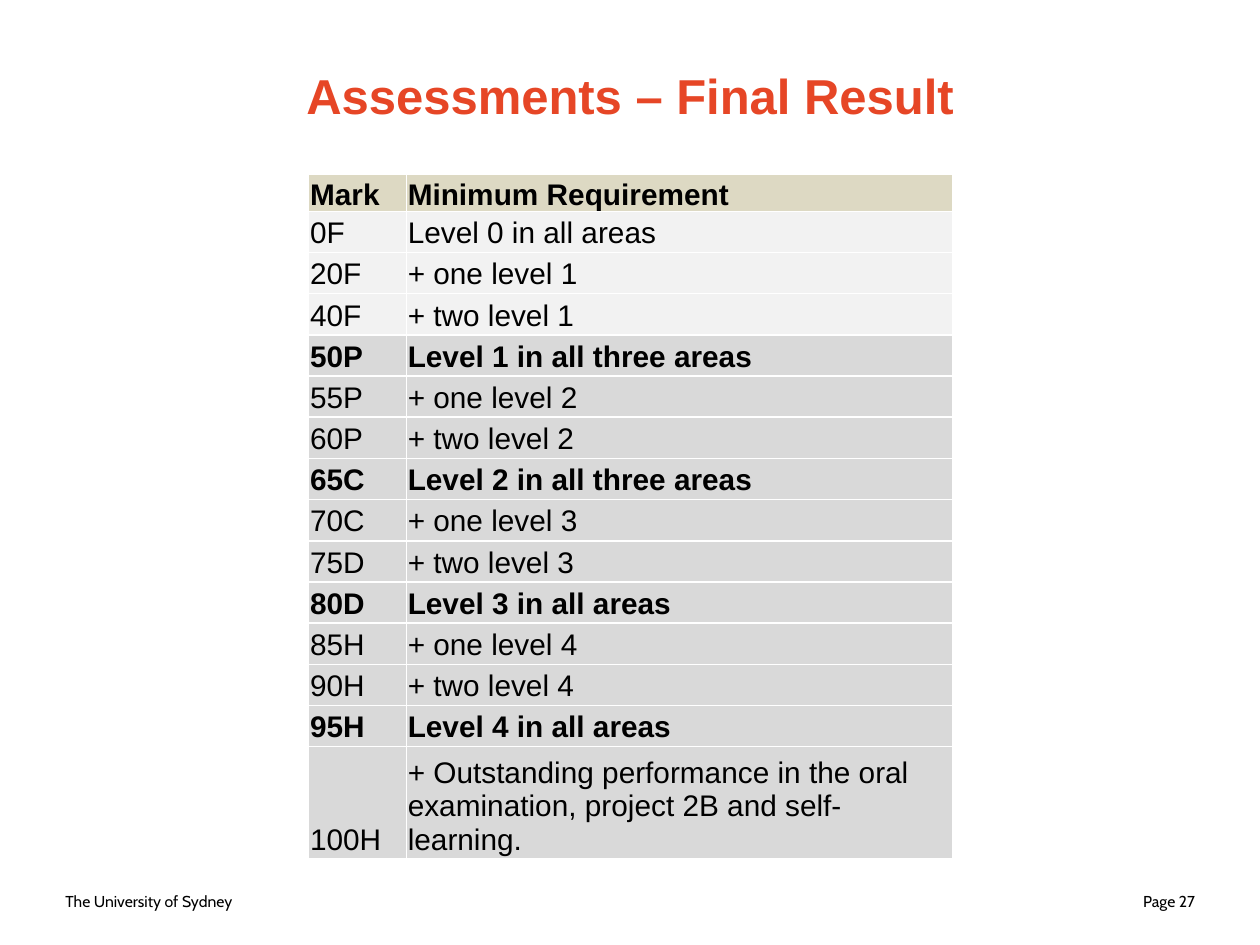
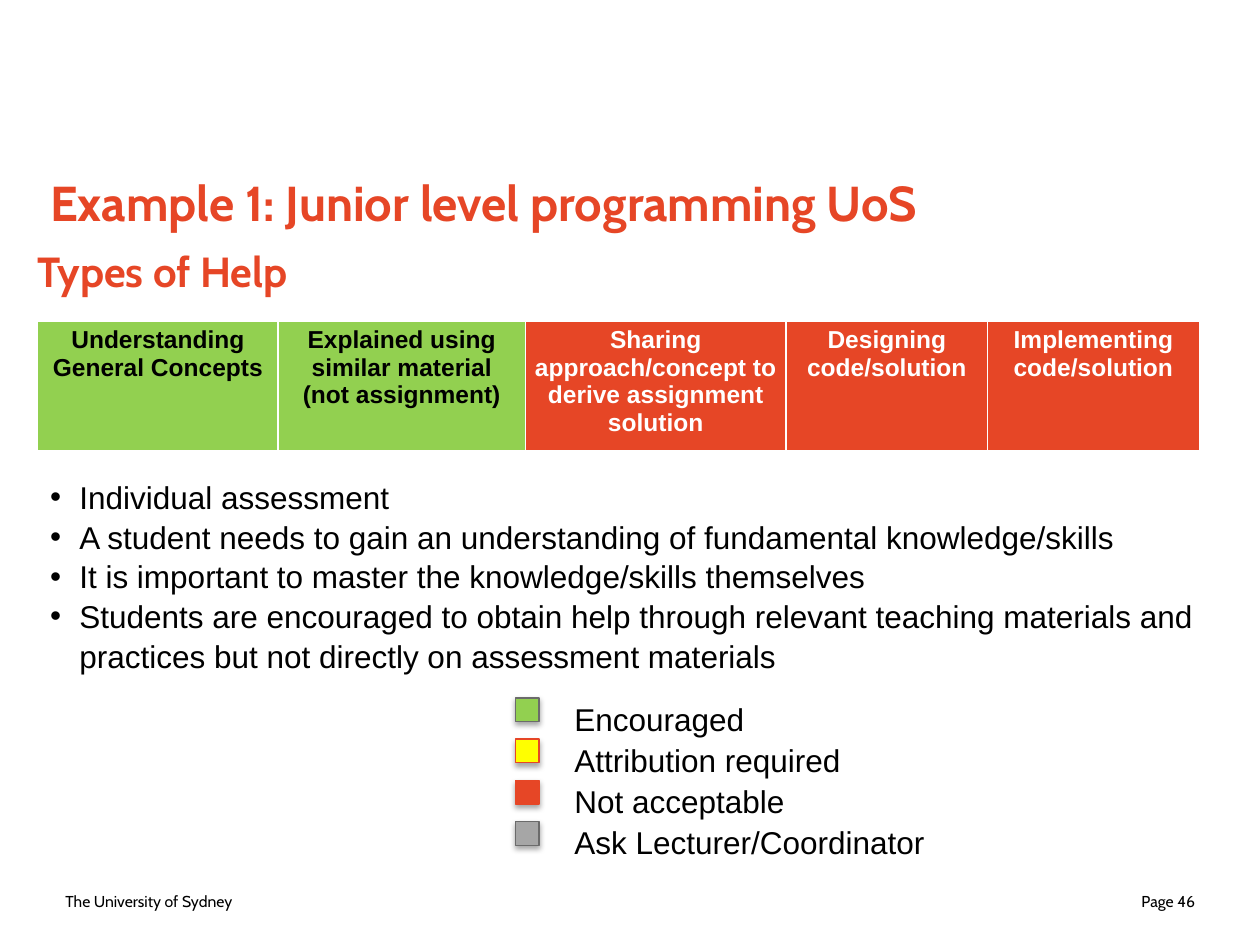
"""Build two slides on assessment marks and on the types of help allowed."""
from lxml import etree
from pptx import Presentation
from pptx.dml.color import RGBColor
from pptx.enum.shapes import MSO_SHAPE
from pptx.enum.text import MSO_ANCHOR, PP_ALIGN
from pptx.oxml import parse_xml
from pptx.oxml.ns import nsdecls, qn
from pptx.util import Cm, Pt

LEFT, CENTER, RIGHT = PP_ALIGN.LEFT, PP_ALIGN.CENTER, PP_ALIGN.RIGHT
TOP, MIDDLE, BOTTOM = MSO_ANCHOR.TOP, MSO_ANCHOR.MIDDLE, MSO_ANCHOR.BOTTOM
RECTANGLE = MSO_SHAPE.RECTANGLE

COLORS = {
    "black": "000000", "white": "FFFFFF", "accent": "E64626", "header": "DDD9C3",
    "fail": "F2F2F2", "pass": "D9D9D9", "green": "92D050", "yellow": "FFFF00",
    "gray": "A6A6A6", "outline": "6B6B6B",
}
BODY, BRAND = "Arial", "Cabin"
PADDING = (0.25, 0.13, 0.25, 0.13)
FOOTER = "The University of Sydney"

MARKS_TITLE = "Assessments – Final Result"
MARKS = [
    ("Mark", "Minimum Requirement"),
    ("0F", "Level 0 in all areas"),
    ("20F", "+ one level 1"),
    ("40F", "+ two level 1"),
    ("50P", "Level 1 in all three areas"),
    ("55P", "+ one level 2"),
    ("60P", "+ two level 2"),
    ("65C", "Level 2 in all three areas"),
    ("70C", "+ one level 3"),
    ("75D", "+ two level 3"),
    ("80D", "Level 3 in all areas"),
    ("85H", "+ one level 4"),
    ("90H", "+ two level 4"),
    ("95H", "Level 4 in all areas"),
    ("100H", "+ Outstanding performance in the oral examination, "
             "project 2B and self-learning."),
]
BOLD_MARKS = {"Mark", "50P", "65C", "80D", "95H"}

HELP_TITLE = "Example 1: Junior level programming UoS"
HELP_SUBTITLE = "Types of Help"
HELP_TYPES = [
    ("Understanding General Concepts", 4.85, "green", "black"),
    ("Explained using similar material (not assignment)", 4.98, "green", "black"),
    ("Sharing approach/concept to derive assignment solution", 5.26, "accent", "white"),
    ("Designing code/solution", 4.06, "accent", "white"),
    ("Implementing code/solution", 4.27, "accent", "white"),
]
HELP_POINTS = [
    "Individual assessment",
    "A student needs to gain an understanding of fundamental knowledge/skills",
    "It is important to master the knowledge/skills themselves",
    "Students are encouraged to obtain help through relevant teaching materials "
    "and practices but not directly on assessment materials",
]
LEGEND = [
    ("Encouraged", "green", "outline"),
    ("Attribution required", "yellow", "accent"),
    ("Not acceptable", "accent", "accent"),
    ("Ask Lecturer/Coordinator", "gray", "outline"),
]


def rgb(name):
    return RGBColor.from_string(COLORS[name])


def style(paragraph, size, font=BODY, color="black", bold=False, align=LEFT):
    paragraph.alignment = align
    paragraph.font.name = font
    paragraph.font.size = Pt(size)
    paragraph.font.bold = bold
    paragraph.font.color.rgb = rgb(color)


def set_margins(target, margins):
    (target.margin_left, target.margin_top,
     target.margin_right, target.margin_bottom) = map(Cm, margins)


def add_bullet(paragraph):
    properties = paragraph._p.get_or_add_pPr()
    properties.set("marL", str(Cm(0.59)))
    properties.set("indent", str(-Cm(0.59)))
    etree.SubElement(properties, qn("a:buFont"), typeface=BODY)
    etree.SubElement(properties, qn("a:buChar"), char="•")


def add_text(page, bounds, lines, size, anchor=TOP, margins=PADDING,
             bullets=False, spacing=None, **look):
    frame = page.shapes.add_textbox(*map(Cm, bounds)).text_frame
    frame.word_wrap = True
    frame.vertical_anchor = anchor
    set_margins(frame, margins)
    frame.text = "\n".join(lines)
    for paragraph in frame.paragraphs:
        if spacing:
            paragraph.line_spacing = spacing
        if bullets:
            add_bullet(paragraph)
        style(paragraph, size, **look)


def add_title(page, bounds, text, **look):
    add_text(page, bounds, [text], 28, MIDDLE, color="accent", bold=True, **look)


def add_page(deck, number):
    page = deck.slides.add_slide(deck.slide_layouts[6])
    for left, text, align in ((1.07, FOOTER, LEFT), (18.42, f"Page {number}", RIGHT)):
        add_text(page, (left, 17.65, 5.92, 1.02), [text], 9, MIDDLE,
                 font=BRAND, align=align)
    return page


def add_grid(page, left, top, widths, heights):
    bounds = (left, top, sum(widths), sum(heights))
    table = page.shapes.add_table(len(heights), len(widths), *map(Cm, bounds)).table
    table.first_row = table.horz_banding = False
    for column, width in zip(table.columns, widths):
        column.width = Cm(width)
    for row, height in zip(table.rows, heights):
        row.height = Cm(height)
    return table


def fill_cell(cell, text, fill, size, margins, anchor=TOP, bottom_line=1, **look):
    cell.text = text
    cell.vertical_anchor = anchor
    set_margins(cell, margins)
    style(cell.text_frame.paragraphs[0], size, **look)
    properties = cell._tc.get_or_add_tcPr()
    for side, width in (("lnL", 1), ("lnR", 1), ("lnT", 1), ("lnB", bottom_line)):
        properties.append(parse_xml(
            f'<a:{side} {nsdecls("a")} w="{Pt(width)}"><a:solidFill>'
            f'<a:srgbClr val="{COLORS["white"]}"/></a:solidFill></a:{side}>'))
    cell.fill.solid()
    cell.fill.fore_color.rgb = rgb(fill)


def add_swatch(page, left, top, side, fill, outline):
    swatch = page.shapes.add_shape(RECTANGLE, *map(Cm, (left, top, side, side)))
    swatch.fill.solid()
    swatch.fill.fore_color.rgb = rgb(fill)
    swatch.line.color.rgb = rgb(outline)
    swatch.line.width = Pt(0.75)
    swatch.shadow.inherit = False
    effects = swatch._element.spPr.find(qn("a:effectLst"))
    effects.append(parse_xml(
        f'<a:outerShdw {nsdecls("a")} blurRad="{Pt(3.1)}" dist="{Pt(1.8)}" '
        f'dir="5400000" rotWithShape="0"><a:srgbClr val="{COLORS["black"]}">'
        '<a:alpha val="35000"/></a:srgbClr></a:outerShdw>'))


def build_marks(deck):
    page = add_page(deck, 27)
    add_title(page, (1.27, 0.33, 22.86, 3.18), MARKS_TITLE, align=CENTER)
    heights = [0.73] + [0.83] * (len(MARKS) - 2) + [1.55]
    table = add_grid(page, 6.22, 3.51, [1.97, 11.01], heights)
    for index, entry in enumerate(MARKS):
        header = index == 0
        fill = "header" if header else "fail" if entry[0].endswith("F") else "pass"
        margins = (0.03, 0.03, 0.03, 0) if header else (0.03, 0.05, 0.03, 0.05)
        for column, text in enumerate(entry):
            fill_cell(table.cell(index, column), text, fill, 17, margins, BOTTOM,
                      bold=entry[0] in BOLD_MARKS)


def build_help(deck):
    page = add_page(deck, 46)
    add_title(page, (0.76, 3.4, 23.42, 1.35), HELP_TITLE, font=BRAND)
    add_text(page, (0.76, 4.95, 23.42, 1.35), [HELP_SUBTITLE], 24,
             margins=(0, 0, 0, 0), font=BRAND, color="accent", bold=True)
    table = add_grid(page, 0.76, 6.48, [width for _, width, _, _ in HELP_TYPES], [2.64])
    for column, (text, _, fill, color) in enumerate(HELP_TYPES):
        fill_cell(table.cell(0, column), text, fill, 14, (0.18, 0.1, 0.18, 0.1),
                  bottom_line=3, color=color, bold=True, align=CENTER)
    add_text(page, (0.76, 9.47, 23.85, 4.11), HELP_POINTS, 18,
             bullets=True, spacing=1.05)
    for index, (label, fill, outline) in enumerate(LEGEND):
        top = 14.07 + 0.83 * index
        add_swatch(page, 10.39, top, 0.48, fill, outline)
        add_text(page, (11.33, top - 0.13, 11.66, 1.02), [label], 18, spacing=1.05)


def main():
    deck = Presentation()
    deck.slide_width, deck.slide_height = Cm(25.4), Cm(19.05)
    build_marks(deck)
    build_help(deck)
    deck.save("out.pptx")


if __name__ == "__main__":
    main()
